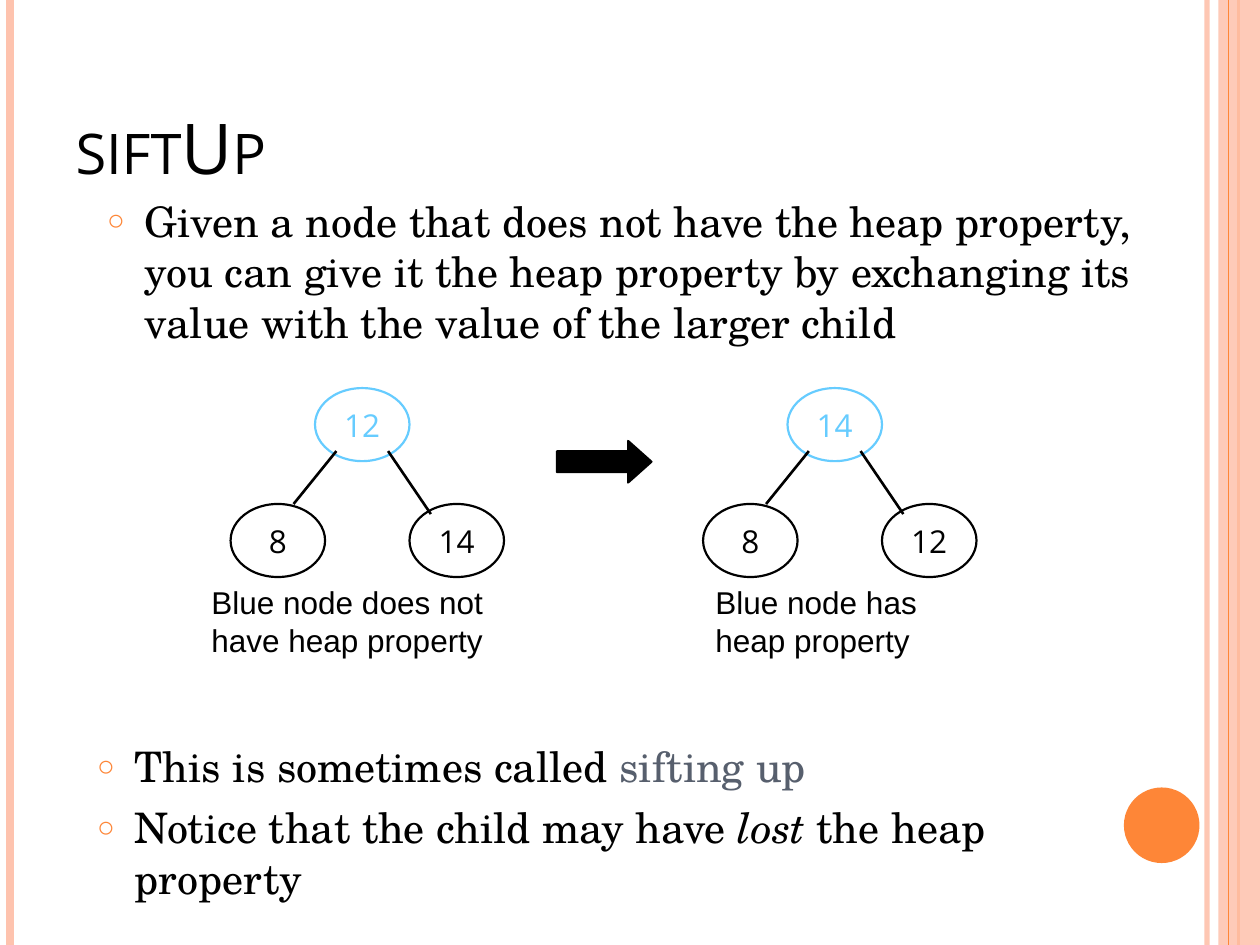
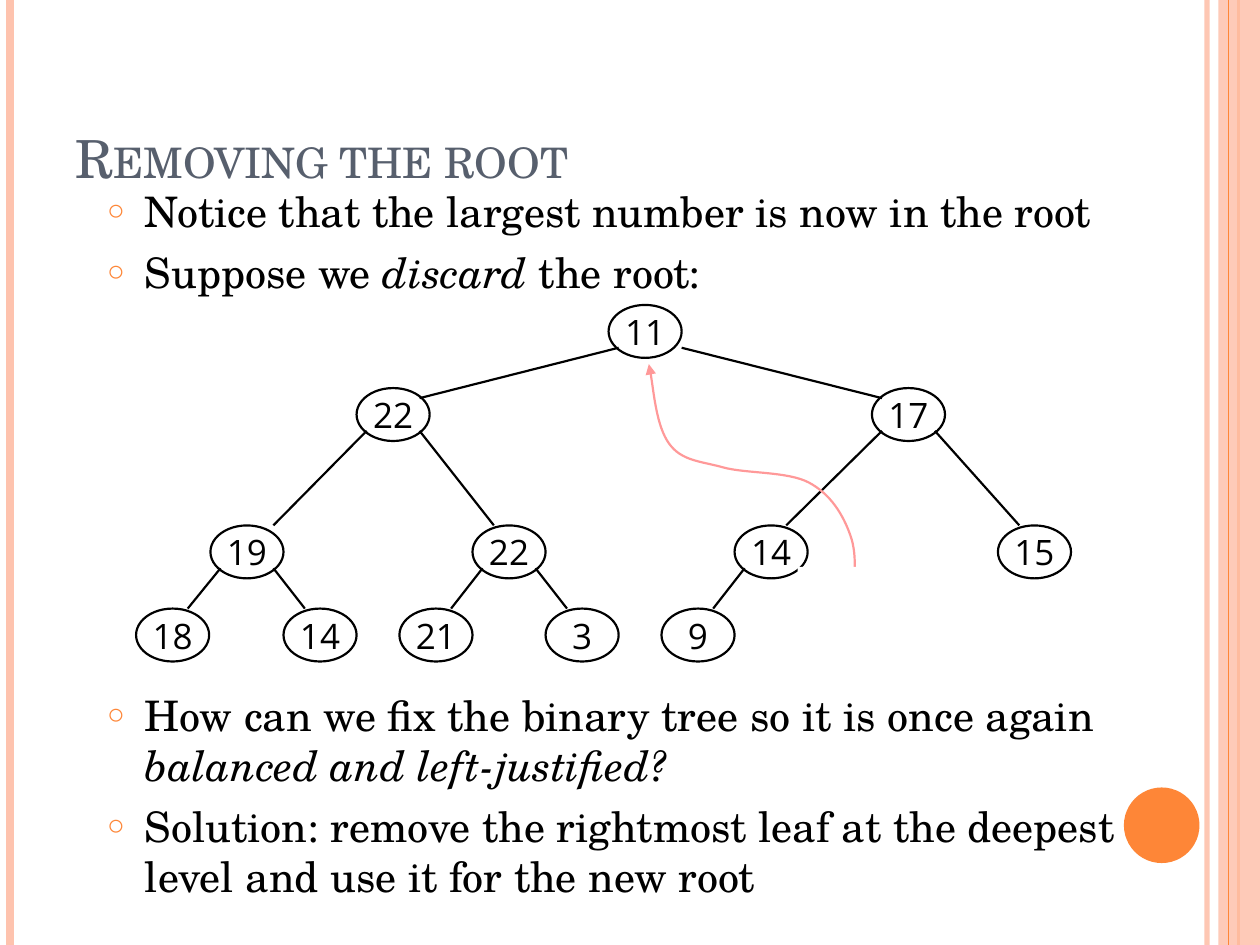
"""Build two slides on sifting up and removing the root of a heap."""
import dataclasses
import typing

import lxml.etree
import pptx
import pptx.dml.color
import pptx.enum.shapes
import pptx.enum.text
import pptx.oxml.ns
import pptx.util

Inches = pptx.util.Inches
Pt = pptx.util.Pt
qn = pptx.oxml.ns.qn
SHAPE = pptx.enum.shapes.MSO_SHAPE
ALIGN = pptx.enum.text.PP_ALIGN
ANCHOR = pptx.enum.text.MSO_ANCHOR

BLACK, WHITE, SLATE = "000000", "FFFFFF", "575F6D"
ORANGE, PEACH, BLUE, PINK = "FE8637", "FEC3AE", "66CCFF", "FF9999"
SERIF, SANS, CAPTION = "TeX Gyre Schola", "Open Sans", "Arial"


@dataclasses.dataclass
class Run:
    text: str
    color: str = BLACK
    italic: bool = False


@dataclasses.dataclass
class Rail:
    x: float
    color: str
    width: float
    alpha: int = 100


@dataclasses.dataclass
class Node:
    label: str
    left: float
    top: float
    parent: typing.Optional[int] = None
    start: float = 0.08
    reach: float = 0.17
    drop: float = 0
    color: str = BLACK


@dataclasses.dataclass
class TreeStyle:
    width: float
    height: float
    size: float
    edge: float


@dataclasses.dataclass
class Example:
    left: float
    labels: tuple[str, str, str]
    caption: str
    caption_left: float
    caption_width: float


Bullets = list[list[Run]]
Box = tuple[float, float, float, float]

RAILS = [Rail(9.58, PEACH, 3, 93), Rail(0.08, PEACH, 4.5), Rail(9.83, ORANGE, 1.5)]
INNER_RAIL = Rail(9.75, ORANGE, 0.75)

SMALL_TREE = TreeStyle(0.75, 0.58, 18, 1.5)
LARGE_TREE = TreeStyle(0.58, 0.42, 20, 1.25)

EXAMPLES = [
    Example(5.58, ("14", "8", "12"), "Blue node has heap property", 5.58, 2.17),
    Example(1.83, ("12", "8", "14"), "Blue node does not have heap property", 1.58, 2.83),
]

HEAP = [
    Node("11", 4.83, 2.42),
    Node("22", 2.83, 3.08, 0, reach=0.08, drop=0.08),
    Node("17", 6.92, 3.08, 0, start=0, reach=0.08, drop=0.08),
    Node("19", 1.67, 4.17, 1, reach=0.08),
    Node("22", 3.75, 4.17, 1),
    Node("14", 5.83, 4.17, 2),
    Node("15", 7.92, 4.17, 2),
    Node("18", 1.08, 4.83, 3),
    Node("14", 2.25, 4.83, 3),
    Node("21", 3.17, 4.83, 4),
    Node("3", 4.33, 4.83, 4),
    Node("9", 5.25, 4.83, 5),
]

MOVE_CURVE = [
    (6.75, 4.83),
    (6.78, 4.62), (6.81, 4.42), (6.75, 4.25),
    (6.69, 4.08), (6.59, 3.92), (6.42, 3.83),
    (6.25, 3.74), (5.92, 3.76), (5.74, 3.71),
    (5.56, 3.66), (5.41, 3.66), (5.31, 3.52),
    (5.21, 3.38), (5.18, 3.02), (5.15, 2.89),
]


def rgb(color: str) -> pptx.dml.color.RGBColor:
    return pptx.dml.color.RGBColor.from_string(color)


def set_alpha(sp, percent: int) -> None:
    for clr in sp.element.spPr.iter(qn("a:srgbClr")):
        lxml.etree.SubElement(clr, qn("a:alpha")).set("val", str(percent * 1000))


def paint(sp, fill: typing.Optional[str], line: typing.Optional[str], width: float = 1.25) -> None:
    sp.shadow.inherit = False
    if fill:
        sp.fill.solid()
        sp.fill.fore_color.rgb = rgb(fill)
    else:
        sp.fill.background()
    if line:
        sp.line.color.rgb = rgb(line)
        sp.line.width = Pt(width)
    else:
        sp.line.fill.background()


def add_shape(slide, kind, box: Box, fill=None, line=None):
    sp = slide.shapes.add_shape(kind, *map(Inches, box))
    paint(sp, fill, line)
    return sp


def add_line(slide, x1: float, y1: float, x2: float, y2: float, color: str, width: float):
    kind = pptx.enum.shapes.MSO_CONNECTOR.STRAIGHT
    sp = slide.shapes.add_connector(kind, *map(Inches, (x1, y1, x2, y2)))
    sp.line.color.rgb = rgb(color)
    sp.line.width = Pt(width)
    lxml.etree.SubElement(sp.element.spPr, qn("a:effectLst"))
    return sp


def add_run(p, text: str, font: str, size: float, color: str, italic: bool = False):
    r = p.add_run()
    r.text = text
    r.font.name, r.font.size = font, Pt(size)
    r.font.italic = italic
    r.font.color.rgb = rgb(color)
    return r


def place(sp, box: Box) -> None:
    sp.left, sp.top, sp.width, sp.height = map(Inches, box)
    sp.text_frame.auto_size = pptx.enum.text.MSO_AUTO_SIZE.NONE


def set_title(slide, text: str, font: str, size: float, color: str) -> None:
    sp = slide.shapes.title
    place(sp, (0.5, 0.3, 8.17, 1.25))
    sp.text_frame.vertical_anchor = ANCHOR.BOTTOM
    p = sp.text_frame.paragraphs[0]
    p.alignment = ALIGN.LEFT
    r = add_run(p, text, font, size, color)
    r.font.element.set("cap", "small") if hasattr(r.font, "element") else p.runs[0]._r.get_or_add_rPr().set("cap", "small")


def add_bullet(p) -> None:
    p.space_before = Pt(6)
    pPr = p._p.get_or_add_pPr()
    pPr.set("marL", str(Inches(0.3)))
    pPr.set("indent", str(-Inches(0.3)))
    clr = lxml.etree.SubElement(pPr, qn("a:buClr"))
    lxml.etree.SubElement(clr, qn("a:srgbClr")).set("val", ORANGE)
    lxml.etree.SubElement(pPr, qn("a:buSzPct")).set("val", "70000")
    lxml.etree.SubElement(pPr, qn("a:buChar")).set("char", "○")


def set_bullets(sp, box: Box, bullets: Bullets) -> None:
    place(sp, box)
    tf = sp.text_frame
    tf.vertical_anchor = ANCHOR.TOP
    for i, runs in enumerate(bullets):
        p = tf.add_paragraph() if i else tf.paragraphs[0]
        add_bullet(p)
        for run in runs:
            add_run(p, run.text, SERIF, 24, run.color, run.italic)


def add_rail(slide, rail: Rail):
    sp = add_line(slide, rail.x, 0, rail.x, 7.5, rail.color, rail.width)
    if rail.alpha < 100:
        set_alpha(sp, rail.alpha)
    return sp


def decorate_master(prs, slide) -> None:
    parts = [add_rail(slide, rail) for rail in RAILS]
    band = add_shape(slide, SHAPE.RECTANGLE, (9.67, 0, 0.33, 7.5), PEACH)
    set_alpha(band, 87)
    parts += [band, add_rail(slide, INNER_RAIL)]
    parts.append(add_shape(slide, SHAPE.OVAL, (8.92, 6.25, 0.6, 0.6), ORANGE))
    tree = prs.slide_master.element.cSld.spTree
    for i, sp in enumerate(parts):
        tree.insert(2 + i, sp.element)


def add_tree(slide, nodes: list[Node], style: TreeStyle) -> None:
    for node in nodes:
        box = (node.left, node.top, style.width, style.height)
        tf = add_shape(slide, SHAPE.OVAL, box, line=node.color).text_frame
        tf.word_wrap = False
        tf.vertical_anchor = ANCHOR.MIDDLE
        tf.margin_left = tf.margin_right = tf.margin_top = tf.margin_bottom = 0
        p = tf.paragraphs[0]
        p.alignment = ALIGN.CENTER
        add_run(p, node.label, SANS, style.size, node.color)
    for node in nodes:
        if node.parent is None:
            continue
        parent = nodes[node.parent]
        x1, x2 = node.start, style.width - node.reach
        if node.left > parent.left:
            x1, x2 = style.width - node.start, node.reach
        add_line(slide, parent.left + x1, parent.top + style.height - 0.08,
                 node.left + x2, node.top + node.drop, BLACK, style.edge)


def add_example(slide, ex: Example) -> None:
    root, left, right = ex.labels
    add_tree(slide, [
        Node(root, ex.left + 0.67, 3.08, color=BLUE),
        Node(left, ex.left, 4, 0, start=0.17, reach=0.25),
        Node(right, ex.left + 1.42, 4, 0, start=0.17, drop=0.08),
    ], SMALL_TREE)
    sp = slide.shapes.add_textbox(*map(Inches, (ex.caption_left, 4.58, ex.caption_width, 0.9)))
    sp.text_frame.word_wrap = True
    add_run(sp.text_frame.paragraphs[0], ex.caption, CAPTION, 18, BLACK)


def add_curved_arrow(slide, points: list[tuple[float, float]], color: str) -> None:
    start, *rest = [(Inches(x), Inches(y)) for x, y in points]
    builder = slide.shapes.build_freeform(*start)
    sp = builder.add_line_segments(rest, close=False).convert_to_shape()
    paint(sp, None, color)
    segments = list(sp.element.spPr.iter(qn("a:lnTo")))
    for i in range(0, len(segments), 3):
        curve = lxml.etree.SubElement(segments[i].getparent(), qn("a:cubicBezTo"))
        for segment in segments[i:i + 3]:
            curve.append(segment[0])
            segment.getparent().remove(segment)
    ln = sp.element.spPr.find(qn("a:ln"))
    lxml.etree.SubElement(ln, qn("a:tailEnd")).set("type", "triangle")


def build_sift_up(slide) -> None:
    set_title(slide, "siftUp", SANS, 40, BLACK)
    set_bullets(slide.placeholders[1], (0.75, 1.5, 8.5, 1.67), [
        [Run("Given a node that does not have the heap property, you can give it the heap "
             "property by exchanging its value with the value of the larger child")],
    ])
    set_bullets(slide.placeholders[2], (0.67, 5.83, 8.58, 1.42), [
        [Run("This is sometimes called "), Run("sifting up", SLATE)],
        [Run("Notice that the child may have "), Run("lost", italic=True), Run(" the heap property")],
    ])
    for ex in EXAMPLES:
        add_example(slide, ex)
    arrow = add_shape(slide, SHAPE.RIGHT_ARROW, (4.42, 3.5, 0.75, 0.33), BLACK, BLACK)
    arrow.adjustments[1] = 0.56


def build_remove_root(slide) -> None:
    set_title(slide, "Removing the root", SERIF, 30, SLATE)
    set_bullets(slide.placeholders[1], (0.75, 1.42, 8.5, 1.08), [
        [Run("Notice that the largest number is now in the root")],
        [Run("Suppose we "), Run("discard", italic=True), Run(" the root:")],
    ])
    set_bullets(slide.placeholders[2], (0.75, 5.42, 8.5, 1.83), [
        [Run("How can we fix the binary tree so it is once again "),
         Run("balanced and left-justified?", italic=True)],
        [Run("Solution: remove the rightmost leaf at the deepest level and use it for the new root")],
    ])
    add_tree(slide, HEAP, LARGE_TREE)
    add_curved_arrow(slide, MOVE_CURVE, PINK)
    add_shape(slide, SHAPE.RECTANGLE, (6.33, 4.5, 0.83, 0.83), WHITE)


def main() -> None:
    prs = pptx.Presentation()
    prs.slide_width, prs.slide_height = Inches(10), Inches(7.5)
    layout = prs.slide_layouts.get_by_name("Two Content")
    first, second = (prs.slides.add_slide(layout) for _ in range(2))
    decorate_master(prs, first)
    build_sift_up(first)
    build_remove_root(second)
    prs.save("out.pptx")


if __name__ == "__main__":
    main()
